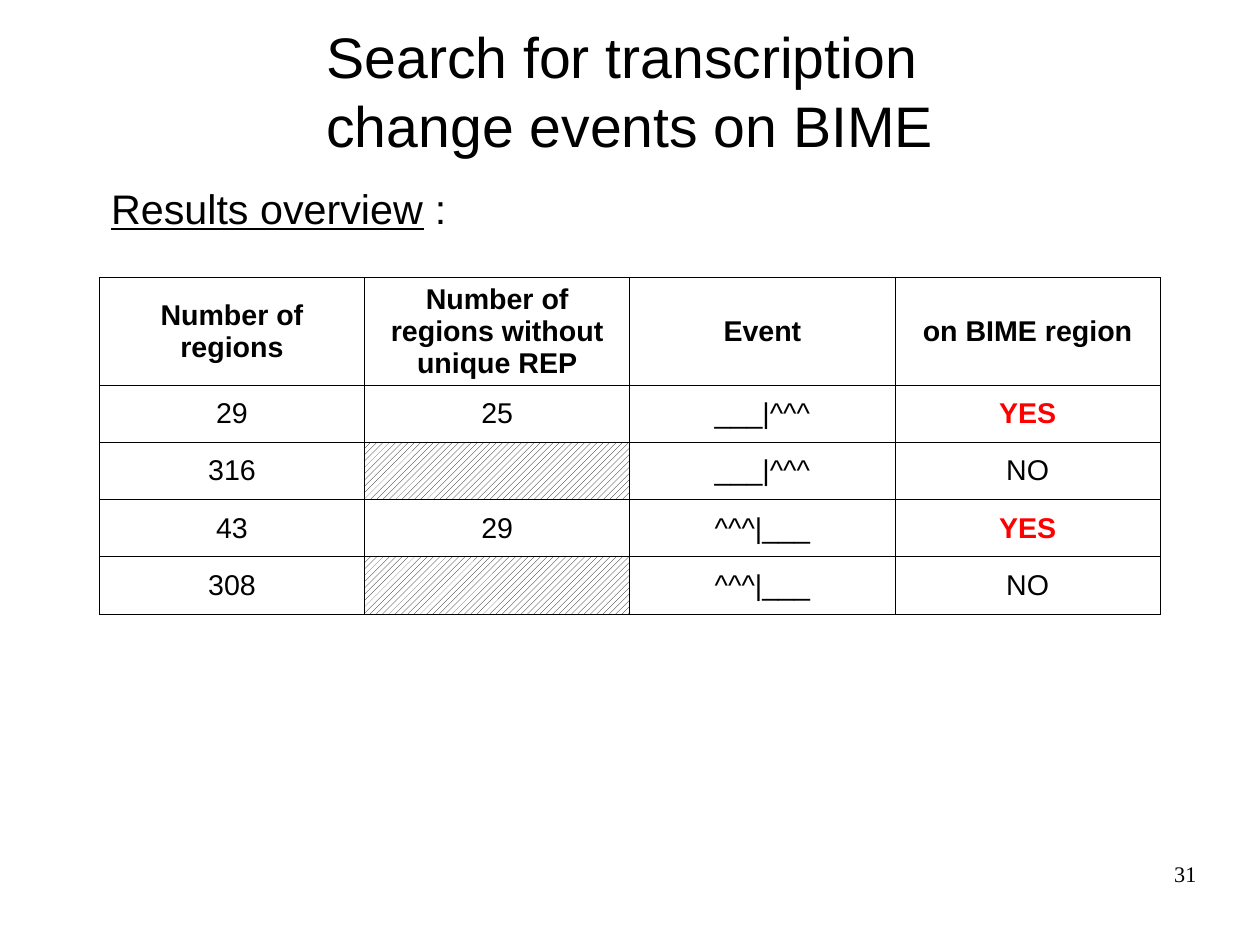
import pptx
import pptx.dml.color
import pptx.enum.dml
import pptx.enum.text
import pptx.oxml
import pptx.oxml.ns
import pptx.util

Pt = pptx.util.Pt
ALIGN = pptx.enum.text.PP_ALIGN
ANCHOR = pptx.enum.text.MSO_ANCHOR
BLACK, WHITE, RED = "000000", "FFFFFF", "FF0000"
HEADERS = ["Number of regions", "Number of regions without unique REP", "Event", "on BIME region"]
RESULTS = [
    ["29", "25", "___|^^^", "YES"],
    ["316", None, "___|^^^", "NO"],
    ["43", "29", "^^^|___", "YES"],
    ["308", None, "^^^|___", "NO"],
]


def color(hex_code):
    """Return the colour for a hex string."""
    return pptx.dml.color.RGBColor.from_string(hex_code)


def set_font(font, size, name="Arial", hex_code=BLACK, bold=False):
    """Set the size, typeface, colour and weight of a font."""
    font.size, font.name, font.bold = Pt(size), name, bold
    font.color.rgb = color(hex_code)


def place(shape, left, top, width, height, anchor=ANCHOR.TOP):
    """Position a text shape, remove its margins and return its paragraph."""
    shape.left, shape.top, shape.width, shape.height = Pt(left), Pt(top), Pt(width), Pt(height)
    frame = shape.text_frame
    frame.margin_left = frame.margin_top = frame.margin_right = frame.margin_bottom = 0
    frame.word_wrap = True
    frame.auto_size = pptx.enum.text.MSO_AUTO_SIZE.NONE
    frame.vertical_anchor = anchor
    return frame.paragraphs[0]


def add_title(page):
    """Fill the title placeholder."""
    para = place(page.shapes.title, 39.6, 16.5, 714.3, 80.7, ANCHOR.MIDDLE)
    para.text = "Search for transcription \vchange events on BIME"
    para.alignment = ALIGN.CENTER
    set_font(para.font, 36)


def add_body(page):
    """Fill the body placeholder with the underlined heading."""
    para = place(page.placeholders[1], 36, 115.2, 714.3, 461.5)
    properties = para._p.get_or_add_pPr()
    properties.set("marL", str(Pt(34)))
    properties.set("indent", "0")
    properties.append(pptx.oxml.parse_xml(f'<a:buNone {pptx.oxml.ns.nsdecls("a")}/>'))
    para.space_before, para.space_after = Pt(0), Pt(14.1)
    set_font(para.font, 26)
    for text, underline in (("Results overview", True), (" :", False)):
        span = para.add_run()
        span.text = text
        span.font.underline = underline


def add_borders(cell):
    """Draw a thin black line on every side of a cell."""
    properties = cell._tc.get_or_add_tcPr()
    for side in "LRTB":
        properties.append(pptx.oxml.parse_xml(
            f'<a:ln{side} {pptx.oxml.ns.nsdecls("a")} w="{Pt(0.57)}">'
            f'<a:solidFill><a:srgbClr val="{BLACK}"/></a:solidFill></a:ln{side}>'))


def fill_cell(cell, text, bold):
    """Write a centred cell, or hatch it when it has no value."""
    add_borders(cell)
    if text is None:
        cell.fill.patterned()
        cell.fill.pattern = pptx.enum.dml.MSO_PATTERN.WIDE_UPWARD_DIAGONAL
        cell.fill.fore_color.rgb = color(BLACK)
        cell.fill.back_color.rgb = color(WHITE)
        return
    cell.fill.background()
    cell.vertical_anchor = ANCHOR.MIDDLE
    cell.text = text
    para = cell.text_frame.paragraphs[0]
    para.alignment = ALIGN.CENTER
    found = text == "YES"
    set_font(para.font, 18, hex_code=RED if found else BLACK, bold=bold or found)


def add_results(page):
    """Add the table of results."""
    rows = [HEADERS] + RESULTS
    table = page.shapes.add_table(
        len(rows), len(HEADERS), Pt(62.6), Pt(175), Pt(668.4), Pt(211.5)).table
    table.first_row = table.horz_banding = False
    for index, values in enumerate(rows):
        table.rows[index].height = Pt(36 if index else 67.5)
        for column, text in enumerate(values):
            fill_cell(table.cell(index, column), text, bold=index == 0)


def add_page_number(page):
    """Add the page number at the lower right."""
    box = page.shapes.add_textbox(0, 0, 0, 0)
    para = place(box, 568.8, 542.2, 185, 41)
    para.text = "31"
    para.alignment = ALIGN.RIGHT
    set_font(para.font, 14, "Times New Roman")


def main():
    """Build the slide and save the deck."""
    deck = pptx.Presentation()
    deck.slide_width, deck.slide_height = Pt(793.75), Pt(595.25)
    page = deck.slides.add_slide(deck.slide_layouts[1])
    add_title(page)
    add_body(page)
    add_results(page)
    add_page_number(page)
    deck.save("out.pptx")


if __name__ == "__main__":
    main()
